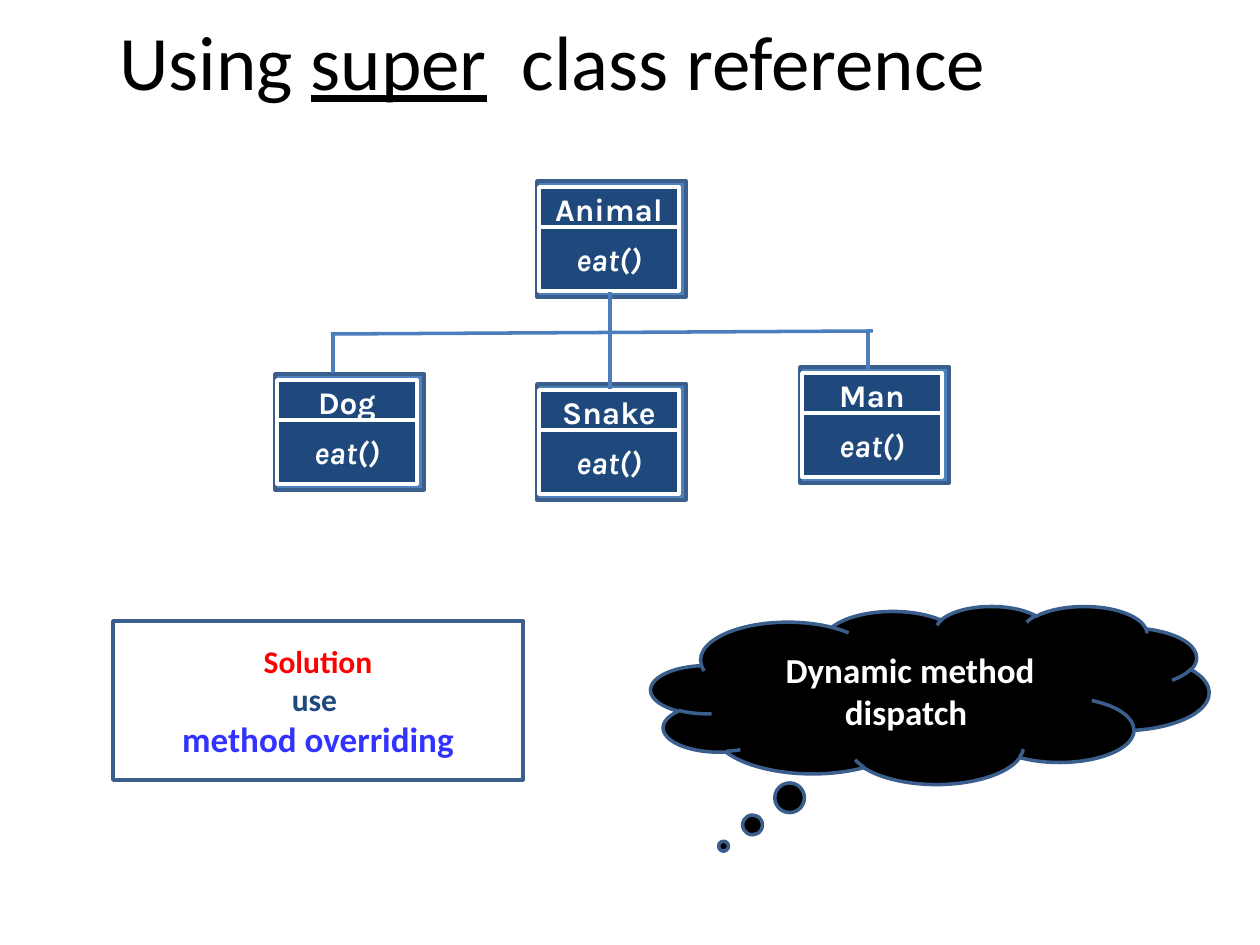
"""Build a slide on calling overridden methods through a super class reference."""
import pptx
import pptx.dml.color
import pptx.enum.shapes
import pptx.enum.text
import pptx.oxml
import pptx.util

SCALE = 914400 / 126
COLORS = {"white": "FFFFFF", "black": "000000", "panel": "4F81BD",
          "navy": "1F497D", "edge": "3A5F8C", "link": "4B7EBC",
          "red": "FF0000", "blue": "3333FF"}
KINDS = pptx.enum.shapes.MSO_SHAPE
NODES = [("Animal", 537, 181), ("Dog", 275, 374),
         ("Snake", 537, 384), ("Man", 800, 367)]
LINKS = [(331, 334, 873, 331), (333, 335, 333, 373),
         (610, 292, 610, 389), (868, 330, 868, 369)]


def emu(*sizes):
    return [pptx.util.Emu(round(size * SCALE)) for size in sizes]


def color(name):
    return pptx.dml.color.RGBColor.from_string(COLORS[name])


def style(run, size, tint, face="Calibri", bold=True, slant=False):
    font = run.font
    font.name, font.size = face, pptx.util.Pt(size)
    font.bold, font.italic = bold, slant
    font.color.rgb = color(tint)


def center(frame):
    frame.word_wrap = True
    frame.vertical_anchor = pptx.enum.text.MSO_ANCHOR.MIDDLE
    for para in frame.paragraphs:
        para.alignment = pptx.enum.text.PP_ALIGN.CENTER


def add_box(shapes, place, fill, edge, kind=KINDS.RECTANGLE):
    box = shapes.add_shape(kind, *emu(*place))
    box.shadow.inherit = False
    box.fill.solid()
    box.fill.fore_color.rgb = color(fill)
    box.line.color.rgb = color(edge)
    box.line.width = pptx.util.Pt(2)
    return box


def add_label(shapes, place, text, slant):
    box = add_box(shapes, place, "navy", "white")
    box.text_frame.text = text
    center(box.text_frame)
    style(box.text_frame.paragraphs[0].runs[0], 18, "white", "Karla", slant=slant)


def add_node(shapes, name, left, top):
    add_box(shapes, (left, top, 149, 116), "panel", "edge")
    add_label(shapes, (left + 2, top + 6, 140, 44), name, False)
    add_label(shapes, (left + 2, top + 46, 140, 64), "eat()", True)


def add_link(shapes, ends):
    link = shapes.add_connector(pptx.enum.shapes.MSO_CONNECTOR.STRAIGHT, *emu(*ends))
    link.line.color.rgb = color("link")
    link.line.width = pptx.util.Pt(2)
    props = link._element.spPr
    props.append(pptx.oxml.parse_xml(
        '<a:effectLst xmlns:a="http://schemas.openxmlformats.org/drawingml/2006/main"/>'))


def add_title(shapes):
    frame = shapes.add_textbox(*emu(0, 0, 1105, 120)).text_frame
    center(frame)
    for text in ("Using ", "super", "  class reference"):
        run = frame.paragraphs[0].add_run()
        run.text = text
        style(run, 44, "black", bold=False)
        run.font.underline = text == "super"


def add_answer(shapes):
    lines = [("Solution", 18, "red"), ("use ", 18, "navy"),
             ("method overriding", 20, "blue")]
    frame = add_box(shapes, (113, 621, 410, 159), "white", "edge").text_frame
    frame.text = "\n".join(text for text, size, tint in lines)
    center(frame)
    for para, (text, size, tint) in zip(frame.paragraphs, lines):
        style(para.runs[0], size, tint)


def add_cloud(shapes):
    cloud = add_box(shapes, (651, 606, 558, 178), "black", "edge", KINDS.CLOUD_CALLOUT)
    cloud.adjustments[0], cloud.adjustments[1] = -0.37, 0.85
    frame = cloud.text_frame
    frame.margin_left = frame.margin_right = 0
    frame.text = "Dynamic method dispatch "
    center(frame)
    style(frame.paragraphs[0].runs[0], 20, "white")


def main():
    deck = pptx.Presentation()
    deck.slide_width, deck.slide_height = emu(1260, 945)
    shapes = deck.slides.add_slide(deck.slide_layouts[6]).shapes
    add_title(shapes)
    tree = shapes.add_group_shape().shapes
    for node in NODES:
        add_node(tree, *node)
    for ends in LINKS:
        add_link(tree, ends)
    notes = shapes.add_group_shape().shapes
    add_answer(notes)
    add_cloud(notes)
    deck.save("out.pptx")


if __name__ == "__main__":
    main()
